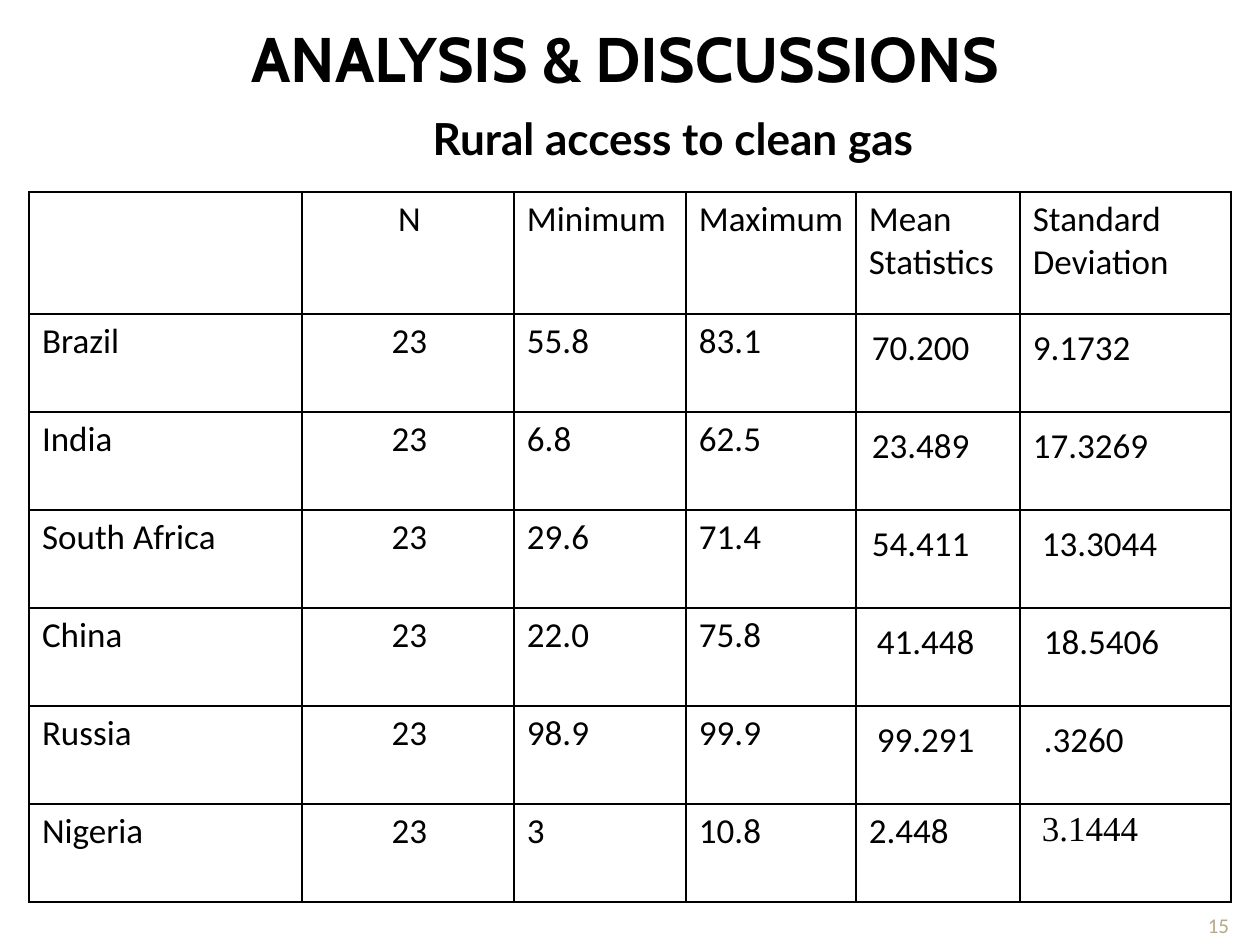
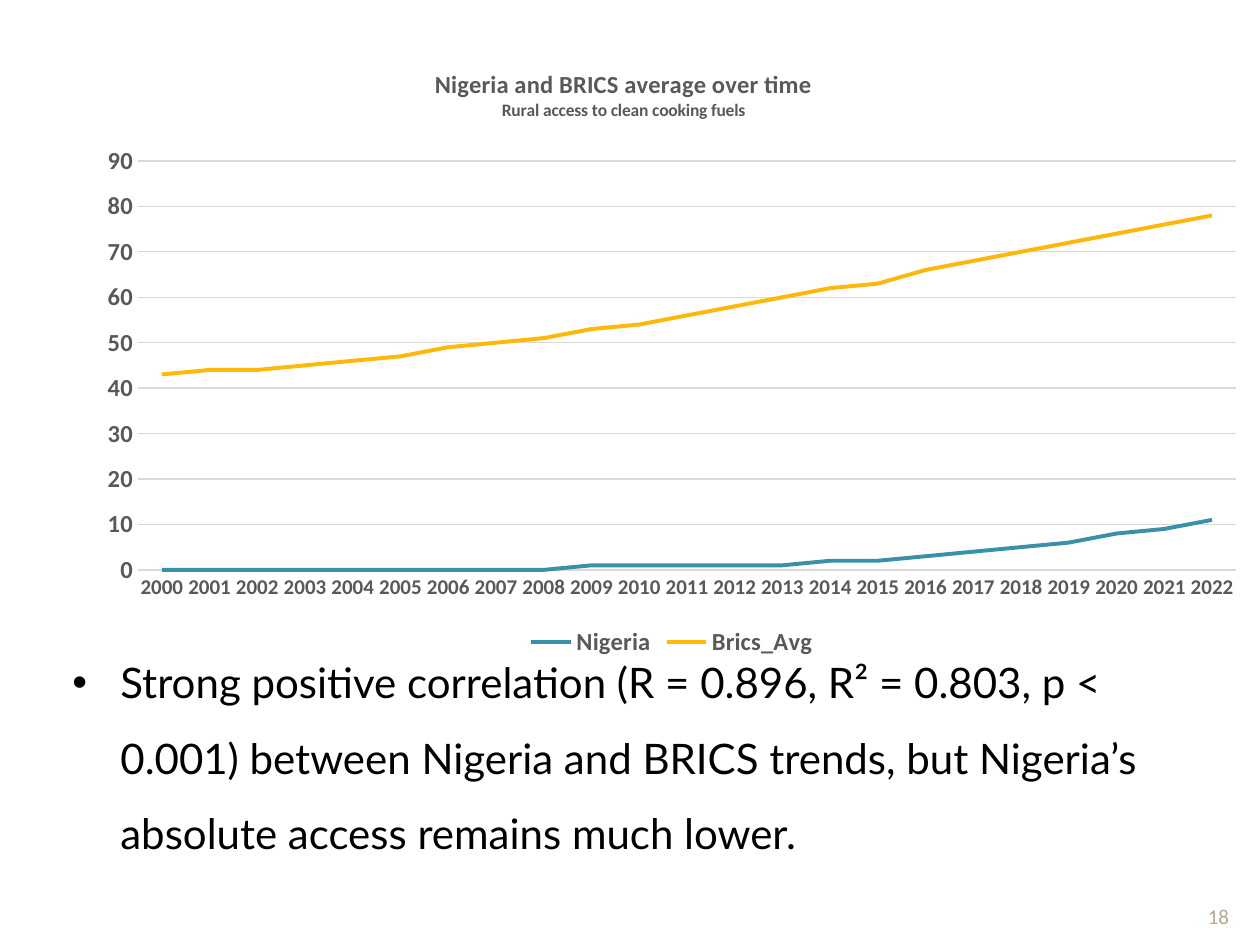
from lxml.etree import SubElement
from pptx import Presentation
from pptx.chart.data import CategoryChartData
from pptx.dml.color import RGBColor
from pptx.enum.chart import XL_CHART_TYPE, XL_LEGEND_POSITION, XL_TICK_MARK
from pptx.enum.text import MSO_ANCHOR, PP_ALIGN
from pptx.oxml import parse_xml
from pptx.oxml.ns import nsdecls, qn
from pptx.util import Emu, Pt

BLACK, PAGE_TAN, CHART_GREY, GRID_GREY = "000000", "B6A98A", "595959", "D9D9D9"
HEADING_FONT, BODY_FONT, DATA_FONT = "Cabin", "Lato", "Calibri"

HEADING = "ANALYSIS & DISCUSSIONS"
SUBHEADING = "Rural access to clean gas"
STATISTICS = [
    ("", "N", "Minimum", "Maximum", "Mean Statistics", "Standard Deviation"),
    ("Brazil", "23", "55.8", "83.1", "70.200", "9.1732"),
    ("India", "23", "6.8", "62.5", "23.489", "17.3269"),
    ("South Africa", "23", "29.6", "71.4", "54.411", "13.3044"),
    ("China", "23", "22.0", "75.8", "41.448", "18.5406"),
    ("Russia", "23", "98.9", "99.9", "99.291", ".3260"),
    ("Nigeria", "23", "3", "10.8", "2.448", "3.1444"),
]
COLUMN_WIDTHS = (273, 212, 172, 170, 164, 211)
HEADER_HEIGHT, COUNTRY_HEIGHT = 122, 98
CELL_LEFT, CELL_TOP, LOWERED_TOP = 13, 6, 13
MEAN_LEFTS = (13, 16, 16, 16, 21, 21, 13)
DEVIATION_LEFTS = (13, 13, 13, 22, 24, 24, 22)

CHART_TITLES = [("Nigeria and BRICS average over time", 14),
                ("Rural access to clean cooking fuels", 10)]
YEARS = [str(year) for year in range(2000, 2023)]
TRENDS = [
    ("Nigeria", "3891A7",
     (0, 0, 0, 0, 0, 0, 0, 0, 0, 1, 1, 1, 1, 1, 2, 2, 3, 4, 5, 6, 8, 9, 11)),
    ("Brics_Avg", "FEB80A",
     (43, 44, 44, 45, 46, 47, 49, 50, 51, 53, 54, 56, 58, 60, 62, 63, 66, 68,
      70, 72, 74, 76, 78)),
]
CHART_BOX = (84, 53, 1176, 609)
PLOT_BOX = (138, 161, 1098, 409)
CHART_TITLE_CORNER = (431, 64)
FINDING = ("Strong positive correlation (R = 0.896, R² = 0.803, p < 0.001) between "
           "Nigeria and BRICS trends, but Nigeria’s absolute access remains much lower.")


def px(length):
    return Emu(round(length * 914400 / 126))


def rgb(code):
    return RGBColor.from_string(code)


def style_font(font, size, color, name=DATA_FONT, bold=False):
    font.size, font.name, font.bold = Pt(size), name, bold
    font.color.rgb = rgb(color)


def write(frame, text, size=20, color=BLACK, name=DATA_FONT, bold=False,
          align=PP_ALIGN.LEFT, spacing=None, bullet_indent=0):
    paragraph = frame.paragraphs[0]
    paragraph.alignment = align
    if spacing:
        paragraph.line_spacing = spacing
    if bullet_indent:
        properties = paragraph._p.get_or_add_pPr()
        properties.set("marL", str(px(bullet_indent)))
        properties.set("indent", str(-px(bullet_indent)))
        SubElement(properties, qn("a:buFont"), typeface="Arial")
        SubElement(properties, qn("a:buChar"), char="•")
    run = paragraph.add_run()
    run.text = text
    style_font(run.font, size, color, name, bold)


def add_text(slide, box, text, anchor=MSO_ANCHOR.MIDDLE, **text_format):
    frame = slide.shapes.add_textbox(*map(px, box)).text_frame
    frame.word_wrap = True
    frame.vertical_anchor = anchor
    write(frame, text, **text_format)


def add_page_number(slide, number, top):
    add_text(slide, (1187, top, 63, 66), number, anchor=MSO_ANCHOR.BOTTOM,
             size=12, color=PAGE_TAN, align=PP_ALIGN.CENTER)


def draw_borders(cell):
    properties = cell._tc.get_or_add_tcPr()
    for position, side in enumerate(("lnL", "lnR", "lnT", "lnB")):
        properties.insert(position, parse_xml(
            f'<a:{side} {nsdecls("a")} w="12700"><a:solidFill>'
            f'<a:srgbClr val="{BLACK}"/></a:solidFill></a:{side}>'))


def add_statistics(slide):
    heights = [HEADER_HEIGHT] + [COUNTRY_HEIGHT] * (len(STATISTICS) - 1)
    box = (29, 192, sum(COLUMN_WIDTHS), sum(heights))
    table = slide.shapes.add_table(len(heights), len(COLUMN_WIDTHS), *map(px, box)).table
    table.first_row = table.horz_banding = False
    for column, width in zip(table.columns, COLUMN_WIDTHS):
        column.width = px(width)
    for row, height in zip(table.rows, heights):
        row.height = px(height)
    last = len(STATISTICS) - 1
    lefts = {4: MEAN_LEFTS, 5: DEVIATION_LEFTS}
    for r, values in enumerate(STATISTICS):
        for c, value in enumerate(values):
            cell = table.cell(r, c)
            cell.fill.background()
            draw_borders(cell)
            lowered = c in lefts and 0 < r < last
            cell.margin_left = px(lefts[c][r] if c in lefts else CELL_LEFT)
            cell.margin_right = px(10)
            cell.margin_top = px(LOWERED_TOP if lowered else CELL_TOP)
            write(cell.text_frame, value,
                  name="Times New Roman" if (r, c) == (last, 5) else DATA_FONT,
                  align=PP_ALIGN.CENTER if c == 1 else PP_ALIGN.LEFT)


def place_in_chart(element, left, top, width=None, height=None):
    chart_left, chart_top, chart_width, chart_height = CHART_BOX
    fractions = {"x": (left - chart_left) / chart_width,
                 "y": (top - chart_top) / chart_height}
    if width:
        fractions.update(w=width / chart_width, h=height / chart_height)
    for old_layout in element.findall(qn("c:layout")):
        element.remove(old_layout)
    target = '<c:layoutTarget val="inner"/>' if width else ""
    modes = "".join(f'<c:{axis}Mode val="edge"/>' for axis in "xy")
    values = "".join(f'<c:{key} val="{value:.4f}"/>' for key, value in fractions.items())
    layout = parse_xml(f'<c:layout {nsdecls("c")}><c:manualLayout>{target}{modes}{values}'
                       '</c:manualLayout></c:layout>')
    text = element.find(qn("c:tx"))
    element.insert(0 if text is None else 1, layout)


def add_trends(slide):
    data = CategoryChartData()
    data.categories = YEARS
    for name, _, values in TRENDS:
        data.add_series(name, values)
    chart = slide.shapes.add_chart(XL_CHART_TYPE.LINE, *map(px, CHART_BOX), data).chart
    style_font(chart.font, 10, BLACK)

    chart.has_title = True
    frame = chart.chart_title.text_frame
    for number, (line, size) in enumerate(CHART_TITLES):
        paragraph = frame.add_paragraph() if number else frame.paragraphs[0]
        run = paragraph.add_run()
        run.text = line
        style_font(run.font, size, CHART_GREY, bold=True)
    chart.chart_title.include_in_layout = False
    place_in_chart(chart.chart_title._element, *CHART_TITLE_CORNER)
    place_in_chart(chart._chartSpace.chart.plotArea, *PLOT_BOX)

    years, access = chart.category_axis, chart.value_axis
    for axis, size in ((years, 12), (access, 14)):
        axis.major_tick_mark = axis.minor_tick_mark = XL_TICK_MARK.NONE
        style_font(axis.tick_labels.font, size, CHART_GREY, bold=True)
    access.minimum_scale, access.maximum_scale, access.major_unit = 0, 90, 10
    access.has_major_gridlines = True
    access.format.line.fill.background()
    for line in (years.format.line, access.major_gridlines.format.line):
        line.color.rgb = rgb(GRID_GREY)
        line.width = Pt(0.75)

    chart.has_legend = True
    chart.legend.position = XL_LEGEND_POSITION.BOTTOM
    chart.legend.include_in_layout = False
    style_font(chart.legend.font, 14, CHART_GREY, bold=True)

    chart.plots[0].vary_by_categories = False
    for series, (_, color, _) in zip(chart.plots[0].series, TRENDS):
        series.smooth = False
        series.format.line.color.rgb = rgb(color)
        series.format.line.width = Pt(2.25)


def main():
    deck = Presentation()
    deck.slide_width, deck.slide_height = px(1260), px(945)
    blank = deck.slide_layouts[6]

    analysis = deck.slides.add_slide(blank)
    add_text(analysis, (125, 12, 1000, 90), HEADING, size=36, name=HEADING_FONT,
             bold=True, align=PP_ALIGN.CENTER)
    add_text(analysis, (273, 103, 800, 70), SUBHEADING, size=25.2, name=BODY_FONT,
             bold=True, align=PP_ALIGN.CENTER)
    add_page_number(analysis, "15", 878)
    add_statistics(analysis)

    comparison = deck.slides.add_slide(blank)
    add_page_number(comparison, "18", 869)
    add_text(comparison, (60, 625, 1124, 233), FINDING, anchor=MSO_ANCHOR.TOP,
             size=24, name=BODY_FONT, spacing=1.5, bullet_indent=48)
    add_trends(comparison)

    deck.save("out.pptx")


if __name__ == "__main__":
    main()
